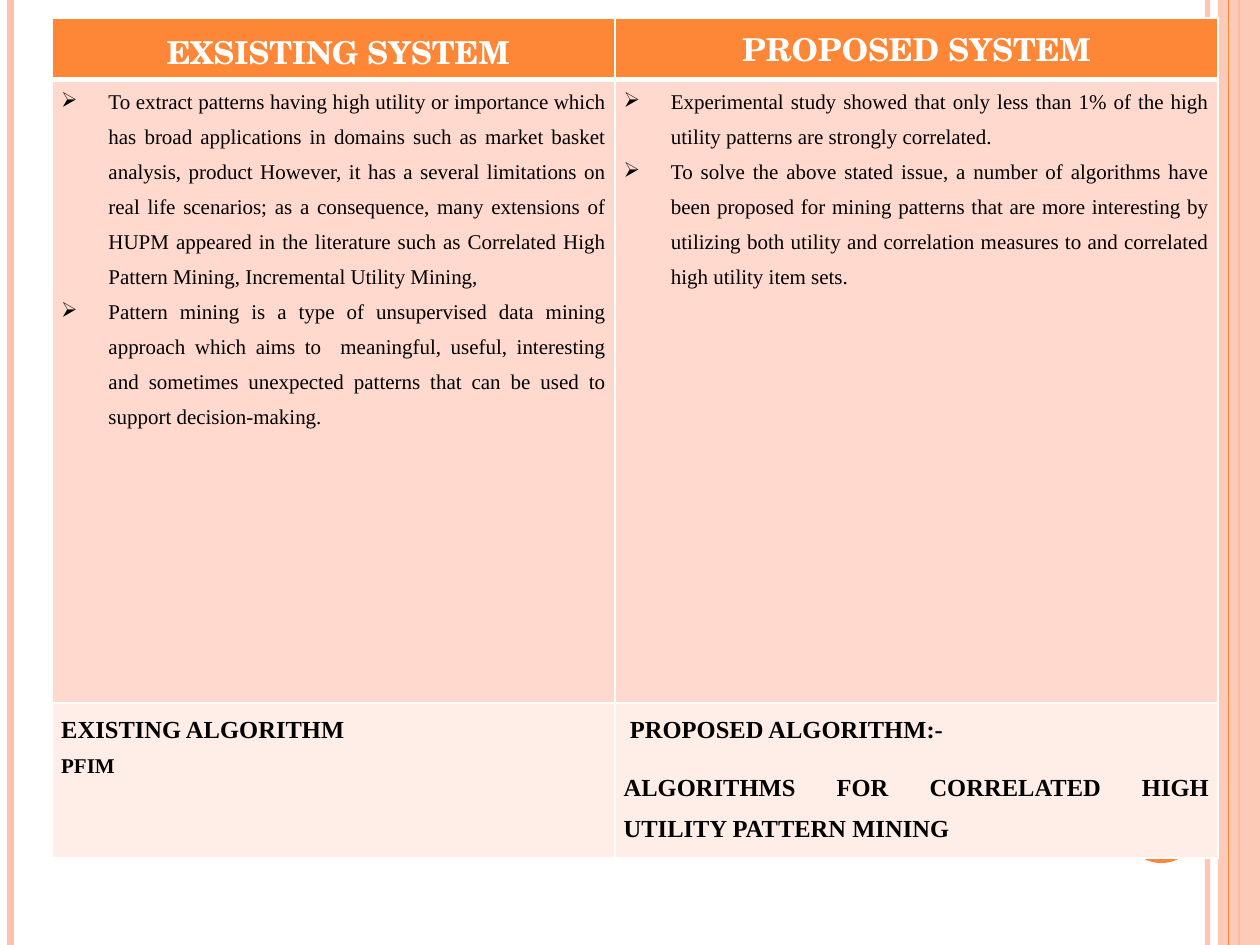
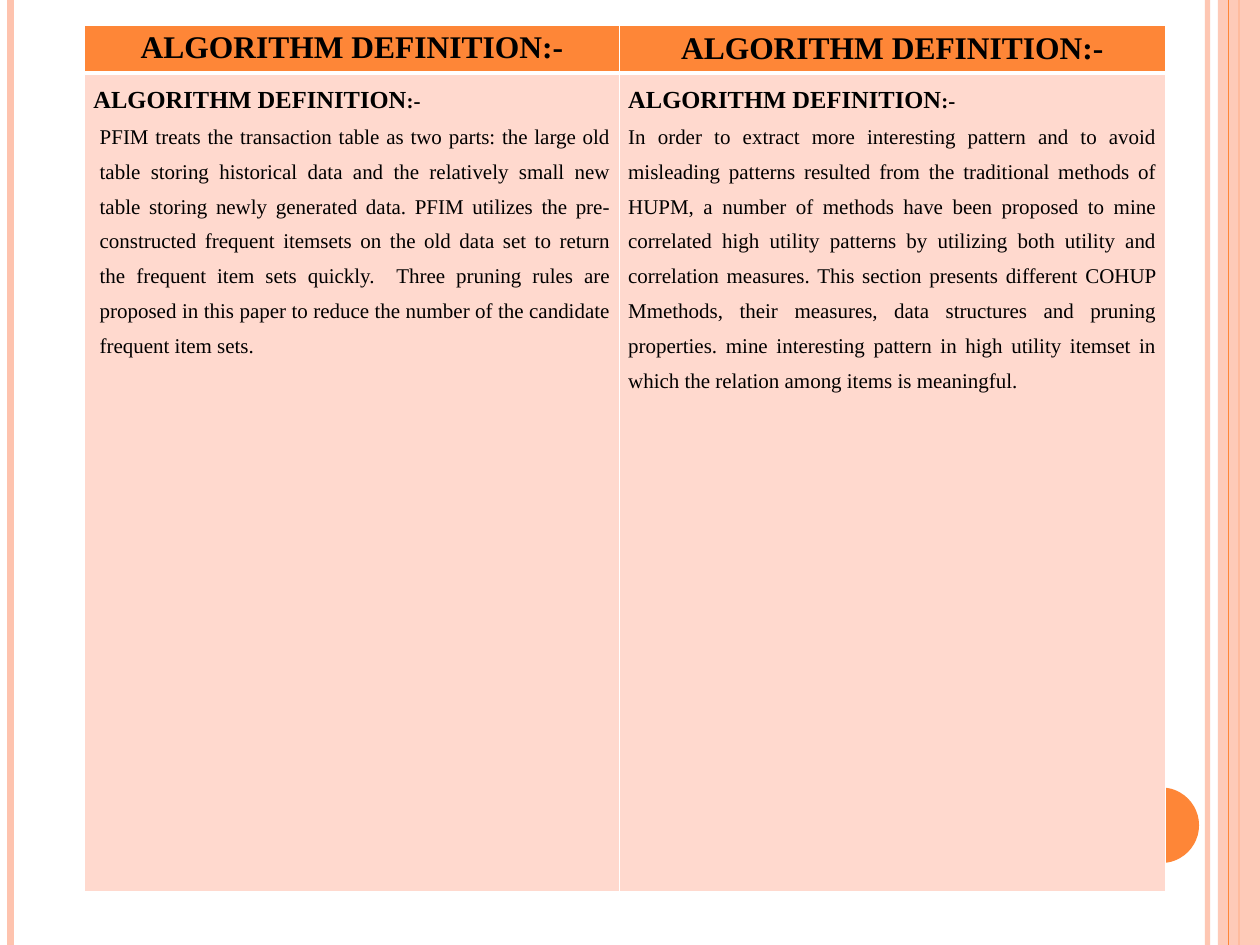
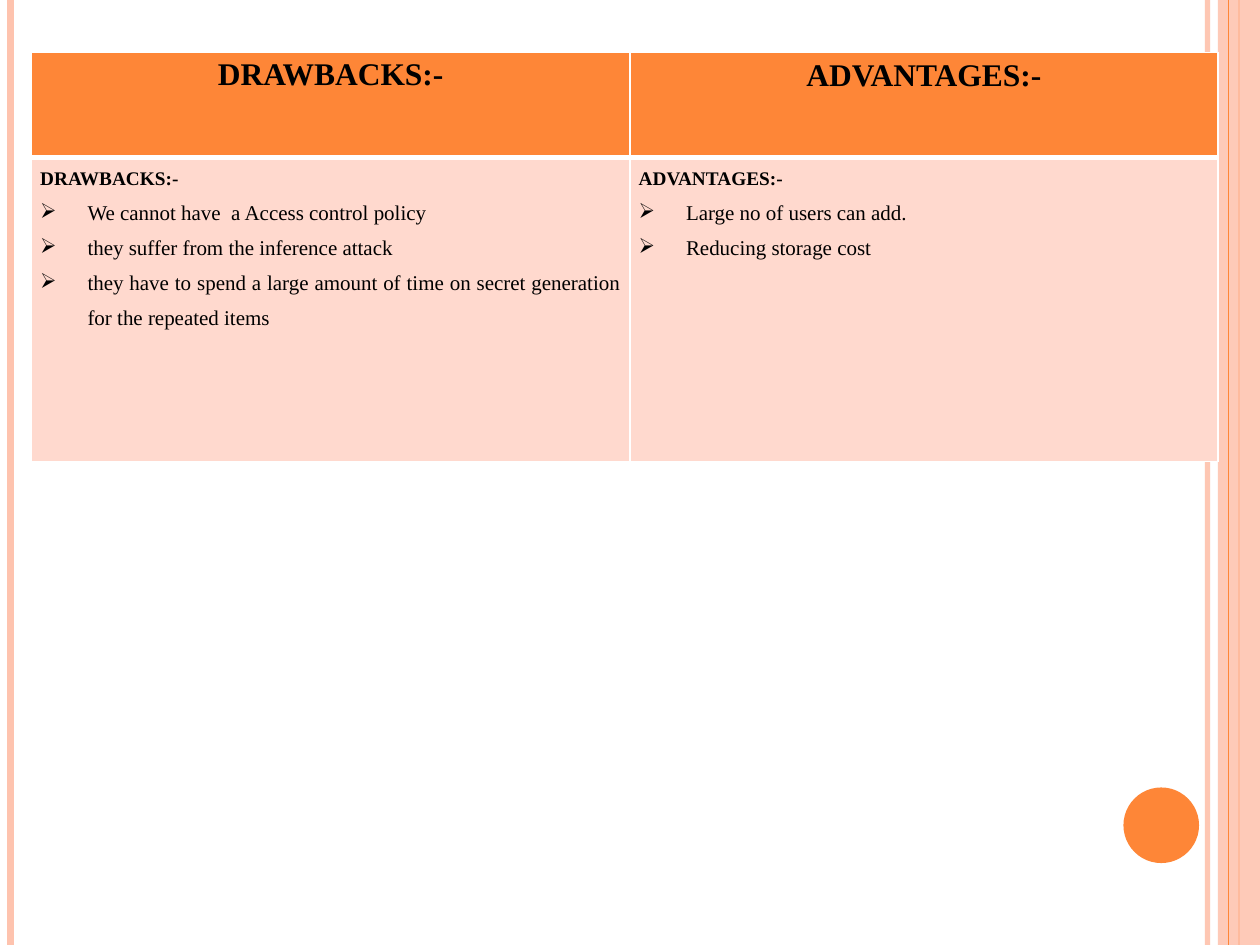
from lxml import etree
from pptx import Presentation
from pptx import util as u
from pptx.dml import color
from pptx.enum import shapes, text
from pptx.oxml import ns

COLORS = {
    "orange": "FE8637",
    "peach": "FEC3AE",
    "band": "FFD9CE",
    "pale": "FFEDE8",
    "white": "FFFFFF",
    "black": "000000",
}
SERIF = "Times New Roman"
SLIDE_WIDTH, SLIDE_HEIGHT = 720, 540
BULLET = {"indent": 27, "hanging": 27, "bullet": "➢"}
LABEL = {"indent": 9, "hanging": 9, "size": 11, "bold": True}
HEADING = {"size": 14, "bold": True}


def rgb(name):
    """Return the named colour."""
    return color.RGBColor.from_string(COLORS[name])


def add_node(parent, tag, **attributes):
    """Append a DrawingML element to its parent."""
    return etree.SubElement(parent, ns.qn(f"a:{tag}"), attributes)


def set_alpha(shape, percent):
    """Make the colour of a shape partly transparent."""
    for node in shape._element.spPr.iter(ns.qn("a:srgbClr")):
        add_node(node, "alpha", val=str(percent * 1000))


def add_rule(page, x, name, width, alpha=None):
    """Draw a vertical line over the full slide height."""
    rule = page.shapes.add_connector(
        shapes.MSO_CONNECTOR.STRAIGHT, u.Pt(x), 0, u.Pt(x), u.Pt(SLIDE_HEIGHT))
    rule.line.color.rgb = rgb(name)
    rule.line.width = u.Pt(width)
    if alpha:
        set_alpha(rule, alpha)
    add_node(rule._element.spPr, "effectLst")


def add_plain_shape(page, kind, left, top, width, height, name, alpha=None):
    """Draw a filled shape without outline or shadow."""
    shape = page.shapes.add_shape(
        kind, u.Pt(left), u.Pt(top), u.Pt(width), u.Pt(height))
    shape.shadow.inherit = False
    shape.fill.solid()
    shape.fill.fore_color.rgb = rgb(name)
    shape.line.fill.background()
    if alpha:
        set_alpha(shape, alpha)


def add_page(deck):
    """Add a blank slide with the side stripes and the corner disc."""
    page = deck.slides.add_slide(deck.slide_layouts[6])
    add_rule(page, 690, "peach", 3, alpha=93)
    add_rule(page, 6, "peach", 4.5)
    add_rule(page, 708, "orange", 1.5)
    add_plain_shape(page, shapes.MSO_SHAPE.RECTANGLE,
                    696, 0, 24, SLIDE_HEIGHT, "peach", alpha=87)
    add_rule(page, 702, "orange", 0.75)
    add_plain_shape(page, shapes.MSO_SHAPE.OVAL, 642, 450, 43.2, 43.2, "orange")
    return page


def add_span(para, content, size=12, bold=False, font=SERIF, ink="black"):
    """Add formatted text to a paragraph."""
    span = para.add_run()
    span.text = content
    span.font.size = u.Pt(size)
    span.font.bold = bold
    span.font.name = font
    span.font.color.rgb = rgb(ink)


def add_para(cell, content, align="JUSTIFY", spacing=1.5, after=0,
             indent=0, hanging=0, bullet=None, tail=None, **style):
    """Add a paragraph to a cell, with an optional smaller tail."""
    frame = cell.text_frame
    para = frame.paragraphs[0]
    if para.runs:
        para = frame.add_paragraph()
    para.alignment = text.PP_ALIGN[align]
    para.line_spacing = spacing
    para.space_after = u.Pt(after)
    properties = para._p.get_or_add_pPr()
    properties.set("marL", str(u.Pt(indent)))
    properties.set("indent", str(-u.Pt(hanging)))
    if bullet:
        add_node(properties, "buChar", char=bullet)
    add_span(para, content, **style)
    if tail:
        add_span(para, tail, **{**style, "size": 12})


def set_borders(cell, top, bottom):
    """Give a cell white borders, one point wide at the sides."""
    properties = cell._tc.get_or_add_tcPr()
    for side, width in (("L", 1), ("R", 1), ("T", top), ("B", bottom)):
        border = add_node(properties, f"ln{side}", w=str(u.Pt(width)))
        fill = add_node(border, "solidFill")
        add_node(fill, "srgbClr", val=COLORS["white"])


def set_insets(cell, side, vertical):
    """Set the inner margins of a cell."""
    cell.margin_left = cell.margin_right = u.Pt(side)
    cell.margin_top = cell.margin_bottom = u.Pt(vertical)


def add_comparison(page, left, top, widths, heights):
    """Add a two-column table with a header row and tinted body rows."""
    frame = page.shapes.add_table(
        len(heights), len(widths), u.Pt(left), u.Pt(top),
        u.Pt(sum(widths)), u.Pt(sum(heights)))
    table = frame.table
    table.first_row = table.horz_banding = False
    for column, width in zip(table.columns, widths):
        column.width = u.Pt(width)
    fills = ("orange", "band", "pale")
    for index, (row, height) in enumerate(zip(table.rows, heights)):
        row.height = u.Pt(height)
        for cell in row.cells:
            set_borders(cell, 3 if index == 1 else 1, 3 if index == 0 else 1)
            cell.fill.solid()
            cell.fill.fore_color.rgb = rgb(fills[index])
            set_insets(cell, 5, 0)
    return table


def fill_header(table, titles, **style):
    """Write the two column titles."""
    first, second = table.rows[0].cells
    set_insets(first, 8.6, 0)
    set_insets(second, 7.2, 3.6)
    for cell, title, spacing in zip((first, second), titles, (1.15, 1)):
        add_para(cell, title, align="CENTER", spacing=spacing,
                 size=18, bold=True, **style)


def add_bullets(cell, items):
    """Add a bulleted paragraph for each item."""
    for item in items:
        add_para(cell, item, **BULLET)


def build_systems(deck):
    """Compare the existing and the proposed system."""
    table = add_comparison(add_page(deck), 30, 10.2, (321.4, 344.6),
                           (34.8, 356.4, 88.6))
    fill_header(table, (" EXSISTING SYSTEM", "PROPOSED SYSTEM"),
                font="TeX Gyre Schola", ink="white")
    for cell in table.rows[0].cells:
        cell.vertical_anchor = text.MSO_ANCHOR.MIDDLE
    add_bullets(table.cell(1, 0), (
        "To extract patterns having high utility or importance which has broad "
        "applications in domains such as market basket analysis, product "
        "However, it has a several limitations on real life scenarios; as a "
        "consequence, many extensions of HUPM appeared in the literature such "
        "as Correlated High Pattern Mining, Incremental Utility Mining, ",
        "Pattern mining is a type of unsupervised data mining approach which "
        "aims to  meaningful, useful, interesting and sometimes unexpected "
        "patterns that can be used to support decision-making."))
    add_bullets(table.cell(1, 1), (
        "Experimental study showed that only less than 1% of the high utility "
        "patterns are strongly correlated.",
        "To solve the above stated issue, a number of algorithms have been "
        "proposed for mining patterns that are more interesting by utilizing "
        "both utility and correlation measures to and correlated high utility "
        "item sets."))
    existing, proposed = table.rows[2].cells
    add_para(existing, "EXISTING ALGORITHM", **HEADING)
    add_para(existing, "PFIM", bold=True)
    add_para(proposed, "PROPOSED ALGORITHM:-", indent=3.6, after=10, **HEADING)
    add_para(proposed, "ALGORITHMS FOR CORRELATED HIGH UTILITY PATTERN MINING",
             **HEADING)


def build_definitions(deck):
    """Define both algorithms side by side."""
    table = add_comparison(add_page(deck), 48.4, 14.6, (305.6, 312),
                           (27, 468))
    fill_header(table, ("ALGORITHM DEFINITION:-",) * 2)
    existing, proposed = table.rows[1].cells
    for cell in (existing, proposed):
        add_para(cell, "ALGORITHM DEFINITION", tail=":-", **HEADING)
    add_para(
        existing,
        "PFIM treats the transaction table as two parts: the large old table "
        "storing historical data and the relatively small new table storing "
        "newly generated data. PFIM utilizes the pre-constructed frequent "
        "itemsets on the old data set to return the frequent item sets "
        "quickly.  Three pruning rules are proposed in this paper to reduce "
        "the number of the candidate frequent item sets.", indent=3.6)
    add_para(
        proposed,
        "In order to extract more interesting pattern and to avoid misleading "
        "patterns resulted from the traditional methods of HUPM, a number of "
        "methods have been proposed to mine correlated high utility patterns "
        "by utilizing both utility and correlation measures. This section "
        "presents different COHUP Mmethods, their measures, data structures "
        "and pruning properties. mine interesting pattern in high utility "
        "itemset in which the relation among items is meaningful.")


def build_tradeoffs(deck):
    """List the drawbacks and the advantages."""
    table = add_comparison(add_page(deck), 18, 30, (342, 336), (60.2, 173.6))
    titles = ("DRAWBACKS:-", "ADVANTAGES:-")
    fill_header(table, titles)
    points = (
        ("We cannot have  a Access control policy",
         "they suffer from the inference attack",
         "they have to spend a large amount of time on secret generation for "
         "the repeated items"),
        ("Large no of users can add.", "Reducing storage cost"))
    for cell, title, items in zip(table.rows[1].cells, titles, points):
        add_para(cell, title, **LABEL)
        add_bullets(cell, items)


def main():
    """Build the three slides and save them."""
    deck = Presentation()
    deck.slide_width, deck.slide_height = u.Pt(SLIDE_WIDTH), u.Pt(SLIDE_HEIGHT)
    build_systems(deck)
    build_definitions(deck)
    build_tradeoffs(deck)
    deck.save("out.pptx")


if __name__ == "__main__":
    main()
